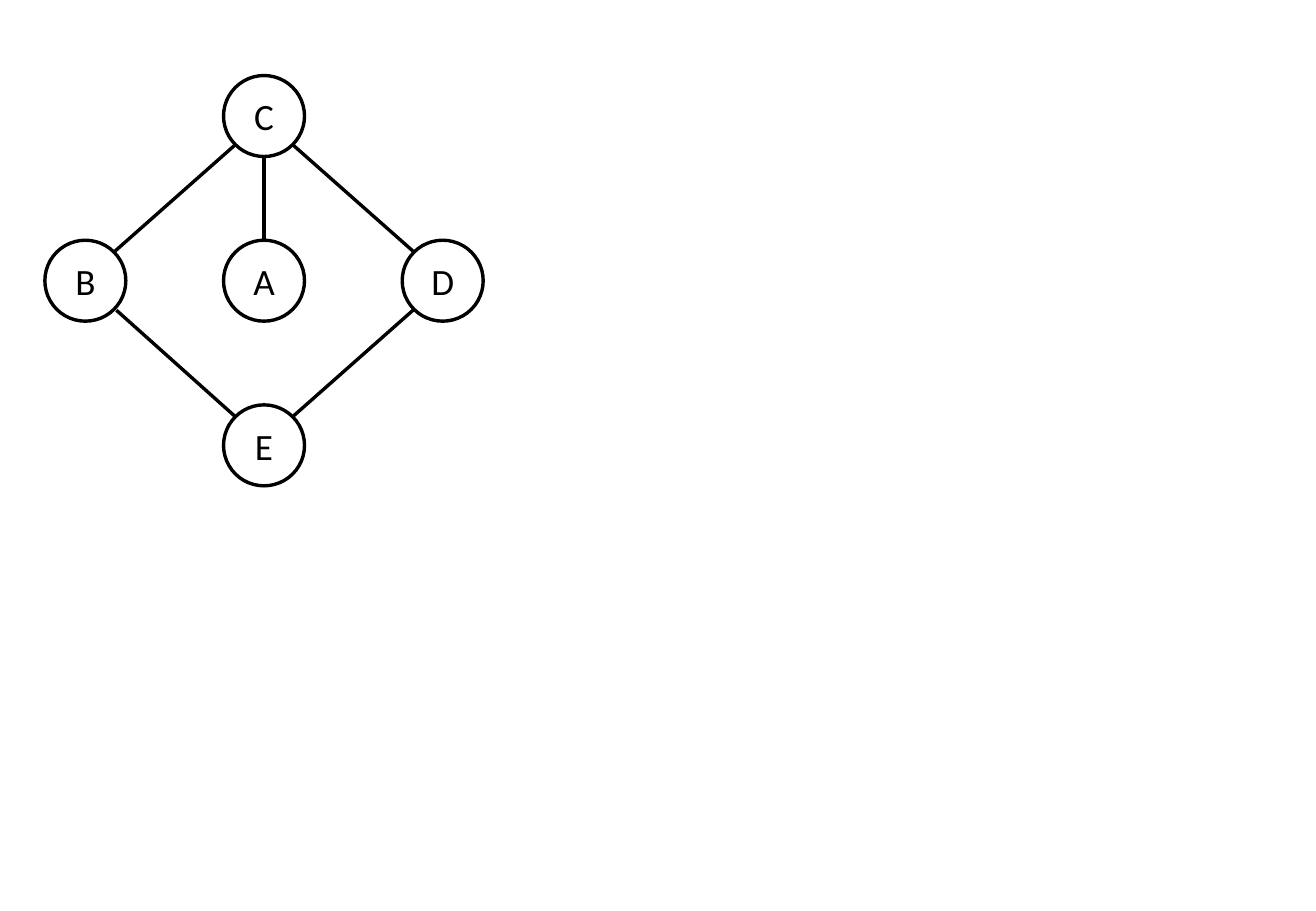
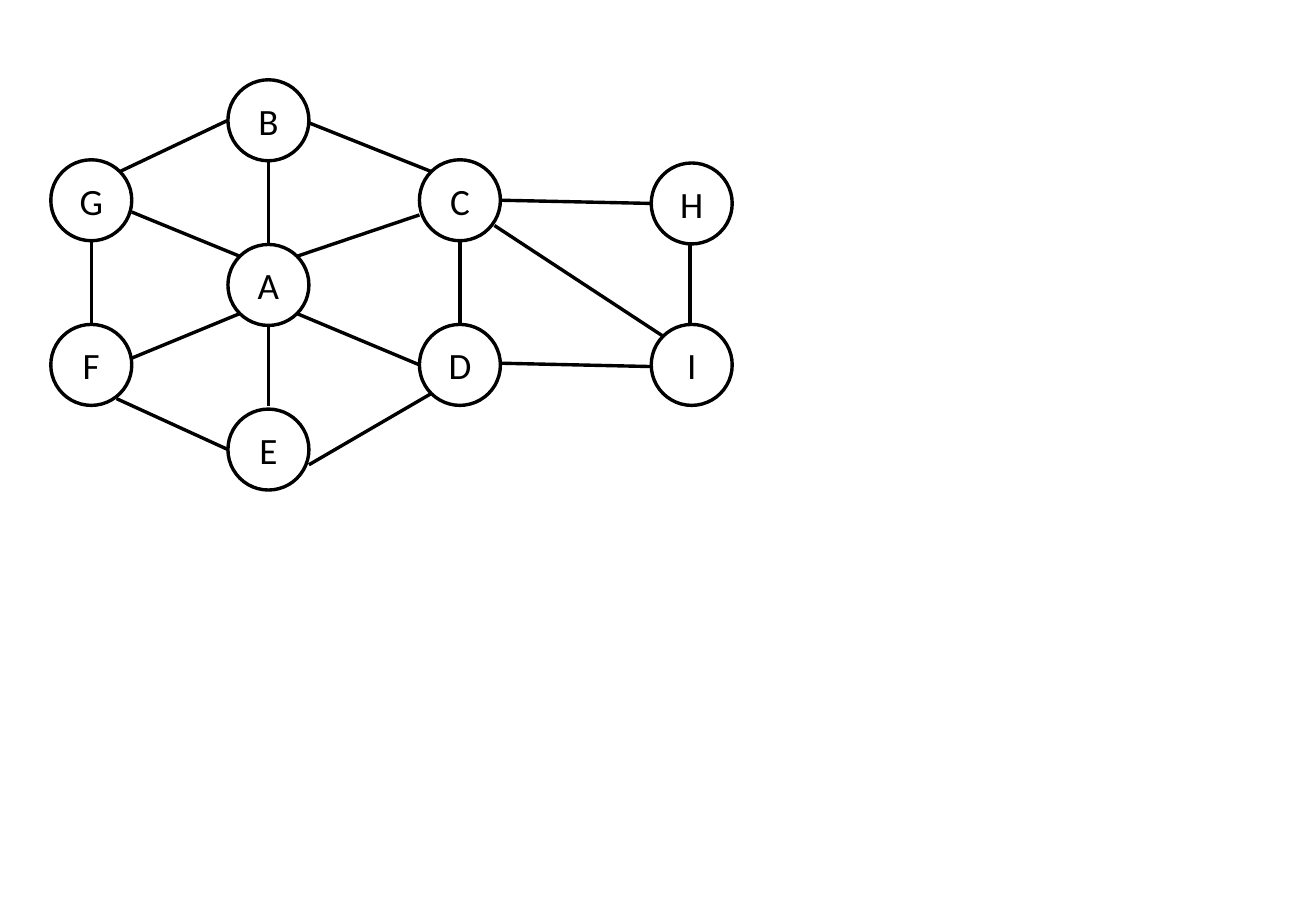
"""Draw two undirected graphs, one per slide, as labelled circles joined by lines."""
import dataclasses

import pptx
import pptx.dml.color
import pptx.enum.shapes
import pptx.enum.text
import pptx.oxml.ns
import pptx.slide
import pptx.util
from lxml import etree

INK = "000000"
FONT = "Calibri"
LABEL_SIZE = 22
LINE_WIDTH = 2
RADIUS = 24
ROW_PITCH = 97.6
DIAGONAL = 17

Offset = tuple[float, float]
N: Offset = (0, -RADIUS)
S: Offset = (0, RADIUS)
E: Offset = (RADIUS, 0)
W: Offset = (-RADIUS, 0)
NE: Offset = (DIAGONAL, -DIAGONAL)
NW: Offset = (-DIAGONAL, -DIAGONAL)
SE: Offset = (DIAGONAL, DIAGONAL)
SW: Offset = (-DIAGONAL, DIAGONAL)


@dataclasses.dataclass(frozen=True)
class Node:
    label: str
    x: float
    y: float


@dataclasses.dataclass(frozen=True)
class Edge:
    start: str
    start_offset: Offset
    end: str
    end_offset: Offset


@dataclasses.dataclass(frozen=True)
class Graph:
    nodes: list[Node]
    edges: list[Edge]


def rgb(value: str) -> pptx.dml.color.RGBColor:
    return pptx.dml.color.RGBColor.from_string(value)


def style_line(line: pptx.dml.line.LineFormat) -> None:
    line.color.rgb = rgb(INK)
    line.width = pptx.util.Pt(LINE_WIDTH)


def write_text(frame: pptx.text.text.TextFrame, text: str, *, size: float = LABEL_SIZE,
               font: str = FONT, color: str = INK) -> None:
    frame.margin_left = frame.margin_right = frame.margin_top = frame.margin_bottom = 0
    frame.vertical_anchor = pptx.enum.text.MSO_ANCHOR.MIDDLE
    paragraph = frame.paragraphs[0]
    paragraph.alignment = pptx.enum.text.PP_ALIGN.CENTER
    run = paragraph.add_run()
    run.text = text
    run.font.name = font
    run.font.size = pptx.util.Pt(size)
    run.font.color.rgb = rgb(color)


def draw_node(slide: pptx.slide.Slide, node: Node) -> None:
    diameter = pptx.util.Pt(2 * RADIUS)
    circle = slide.shapes.add_shape(
        pptx.enum.shapes.MSO_SHAPE.OVAL,
        pptx.util.Pt(node.x - RADIUS), pptx.util.Pt(node.y - RADIUS), diameter, diameter)
    circle.shadow.inherit = False
    circle.fill.background()
    style_line(circle.line)
    write_text(circle.text_frame, node.label)


def draw_edge(slide: pptx.slide.Slide, edge: Edge, nodes: dict[str, Node]) -> None:
    ends = [(edge.start, edge.start_offset), (edge.end, edge.end_offset)]
    coordinates = [pptx.util.Pt(length) for label, (dx, dy) in ends
                   for length in (nodes[label].x + dx, nodes[label].y + dy)]
    link = slide.shapes.add_connector(pptx.enum.shapes.MSO_CONNECTOR.STRAIGHT, *coordinates)
    style_line(link.line)
    etree.SubElement(link._element.spPr, pptx.oxml.ns.qn("a:effectLst"))


def draw_graph(slide: pptx.slide.Slide, graph: Graph) -> None:
    nodes = {node.label: node for node in graph.nodes}
    for node in graph.nodes:
        draw_node(slide, node)
    for edge in graph.edges:
        draw_edge(slide, edge, nodes)


def diamond_graph() -> Graph:
    left, middle, right = (50.6 + 105.9 * column for column in range(3))
    top, centre, bottom = (68.8 + ROW_PITCH * row for row in range(3))
    return Graph(
        nodes=[
            Node("A", middle, centre),
            Node("C", middle, top),
            Node("E", middle, bottom),
            Node("D", right, centre),
            Node("B", left, centre),
        ],
        edges=[
            Edge("C", SW, "B", NE),
            Edge("C", SE, "D", NW),
            Edge("D", SW, "E", NE),
            Edge("B", (18.4, 17.5), "E", NW),
            Edge("C", S, "A", N),
        ],
    )


def wheel_graph() -> Graph:
    left, hub, right, far_right = 54.1, 159.1, 272.6, 410
    top, centre, bottom = (71.3 + ROW_PITCH * row for row in range(3))
    upper, lower = (118.7 + ROW_PITCH * row for row in range(2))
    return Graph(
        nodes=[
            Node("A", hub, centre),
            Node("B", hub, top),
            Node("E", hub, bottom),
            Node("C", right, upper),
            Node("G", left, upper),
            Node("D", right, lower),
            Node("F", left, lower),
            Node("H", far_right, upper + 1.9),
            Node("I", far_right, lower),
        ],
        edges=[
            Edge("B", W, "G", NE),
            Edge("C", NW, "B", (24, 1.5)),
            Edge("G", S, "F", N),
            Edge("E", W, "F", (15, 20)),
            Edge("D", SW, "E", (24, 9)),
            Edge("C", S, "D", N),
            Edge("A", N, "B", (0, 25)),
            Edge("A", NW, "G", (24, 7)),
            Edge("A", SW, "F", (24, -4)),
            Edge("C", (-24, 8.7), "A", NE),
            Edge("D", W, "A", SE),
            Edge("E", (0, -26), "A", S),
            Edge("H", (-1, 23.4), "I", (-1, -23.4)),
            Edge("H", W, "C", E),
            Edge("I", (-24, 1), "D", (24, -1)),
            Edge("I", NW, "C", (20.5, 15)),
        ],
    )


def main() -> None:
    deck = pptx.Presentation()
    deck.slide_width = pptx.util.Pt(780)
    deck.slide_height = pptx.util.Pt(540)
    blank = deck.slide_layouts[6]
    for graph in (diamond_graph(), wheel_graph()):
        draw_graph(deck.slides.add_slide(blank), graph)
    deck.save("out.pptx")


main()
